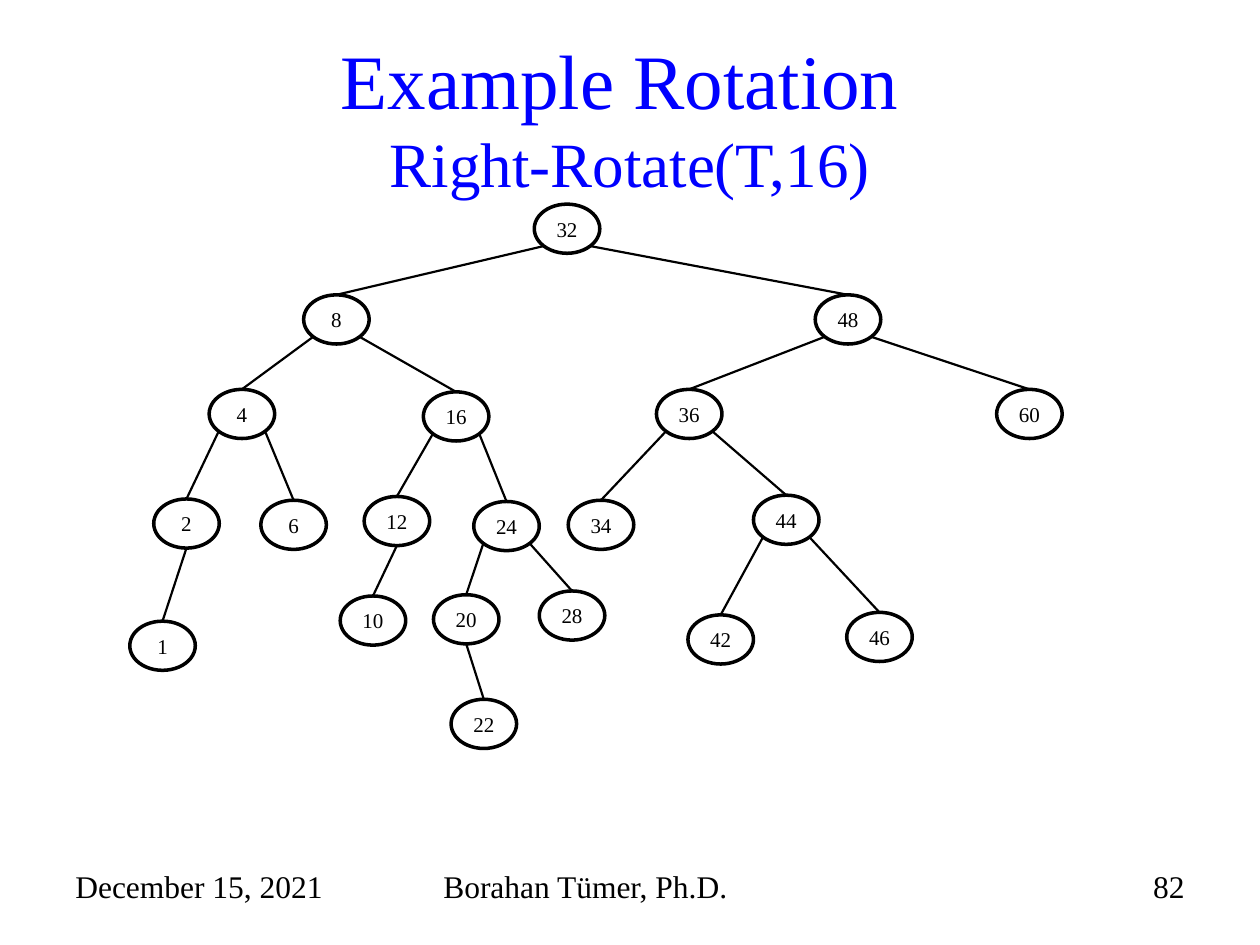
from math import sqrt

from lxml.etree import SubElement
from pptx import Presentation
from pptx.dml.color import RGBColor
from pptx.enum.shapes import MSO_CONNECTOR as CONNECTOR, MSO_SHAPE as SHAPE
from pptx.enum.text import MSO_ANCHOR as ANCHOR, PP_ALIGN as ALIGN
from pptx.oxml.ns import qn
from pptx.util import Inches, Pt

# Content
TITLE = [("Example Rotation ", 44), ("Right-Rotate(T,16)", 36)]
FOOTERS = [
    ("December 15, 2021", 0.5, 2.33, ALIGN.LEFT),
    ("Borahan Tümer, Ph.D.", 3.42, 3.17, ALIGN.LEFT),
    ("82", 7.17, 2.33, ALIGN.RIGHT),
]
# Key: left and top of its node
NODES = {
    32: (4.24, 1.62),
    8: (2.41, 2.34), 48: (6.47, 2.34),
    4: (1.66, 3.09), 16: (3.36, 3.11), 36: (5.21, 3.09), 60: (7.91, 3.09),
    2: (1.22, 3.96), 6: (2.07, 3.97), 12: (2.89, 3.94), 24: (3.76, 3.98),
    34: (4.51, 3.97), 44: (5.98, 3.93),
    1: (1.03, 4.93), 10: (2.70, 4.73), 20: (3.44, 4.72), 28: (4.28, 4.69),
    42: (5.46, 4.88), 46: (6.72, 4.86),
    22: (3.58, 5.55),
}
CHILDREN = {
    32: (8, 48), 8: (4, 16), 48: (36, 60), 4: (2, 6), 16: (12, 24),
    36: (34, 44), 24: (20, 28), 44: (42, 46),
    2: (1,), 12: (10,), 20: (22,),
}
NODE_W, NODE_H = 0.52, 0.39
FONT, BLACK, BLUE = "Times New Roman", "000000", "0000FF"


def color(value):
    return RGBColor.from_string(value)


def add_run(paragraph, text, size, ink=BLACK):
    run = paragraph.add_run()
    run.text = text
    for name, value in {"name": FONT, "size": Pt(size)}.items():
        setattr(run.font, name, value)
    run.font.color.rgb = color(ink)


def add_box(left, top, width, height, align):
    box = slide.shapes.add_textbox(*map(Inches, (left, top, width, height)))
    box.text_frame.word_wrap = True
    box.text_frame.paragraphs[0].alignment = align
    return box.text_frame


def add_node(key, left, top):
    node = slide.shapes.add_shape(
        SHAPE.OVAL, *map(Inches, (left, top, NODE_W, NODE_H)))
    node.shadow.inherit = False
    node.fill.background()
    node.line.color.rgb = color(BLACK)
    node.line.width = Pt(2)
    frame = node.text_frame
    settings = {"margin_left": 0, "margin_right": 0, "margin_top": 0,
                "margin_bottom": 0, "vertical_anchor": ANCHOR.MIDDLE}
    for name, value in settings.items():
        setattr(frame, name, value)
    frame.paragraphs[0].alignment = ALIGN.CENTER
    add_run(frame.paragraphs[0], str(key), 12)
    return node


def add_edge(parent, child, side):
    """Join a parent's lower left (-1), bottom (0) or lower right (1) to a child."""
    left, top = NODES[parent]
    reach = 1 / sqrt(2)
    x = left + NODE_W / 2 * (1 + side * reach)
    y = top + NODE_H / 2 * (1 + (reach if side else 1))
    edge = slide.shapes.add_connector(
        CONNECTOR.STRAIGHT, Inches(x), Inches(y), Inches(x), Inches(y))
    edge.end_connect(nodes[child], 0)
    edge.line.color.rgb = color(BLACK)
    edge.line.width = Pt(1.25)
    SubElement(edge._element.spPr, qn("a:effectLst"))


prs = Presentation()
prs.slide_width, prs.slide_height = Inches(10), Inches(7.5)
slide = prs.slides.add_slide(prs.slide_layouts[6])

# Title
title = add_box(0.5, 0.3, 9, 1.25, ALIGN.CENTER)
title.vertical_anchor = ANCHOR.MIDDLE
for index, (line, size) in enumerate(TITLE):
    if index:
        title.paragraphs[0].add_line_break()
    add_run(title.paragraphs[0], line, size, BLUE)

# Footers
for text, left, width, align in FOOTERS:
    footer = add_box(left, 6.83, width, 0.52, align)
    add_run(footer.paragraphs[0], text, 18)

# Tree
nodes = {key: add_node(key, *place) for key, place in NODES.items()}
for parent, children in CHILDREN.items():
    sides = (-1, 1) if len(children) == 2 else (0,)
    for child, side in zip(children, sides):
        add_edge(parent, child, side)

prs.save("out.pptx")
